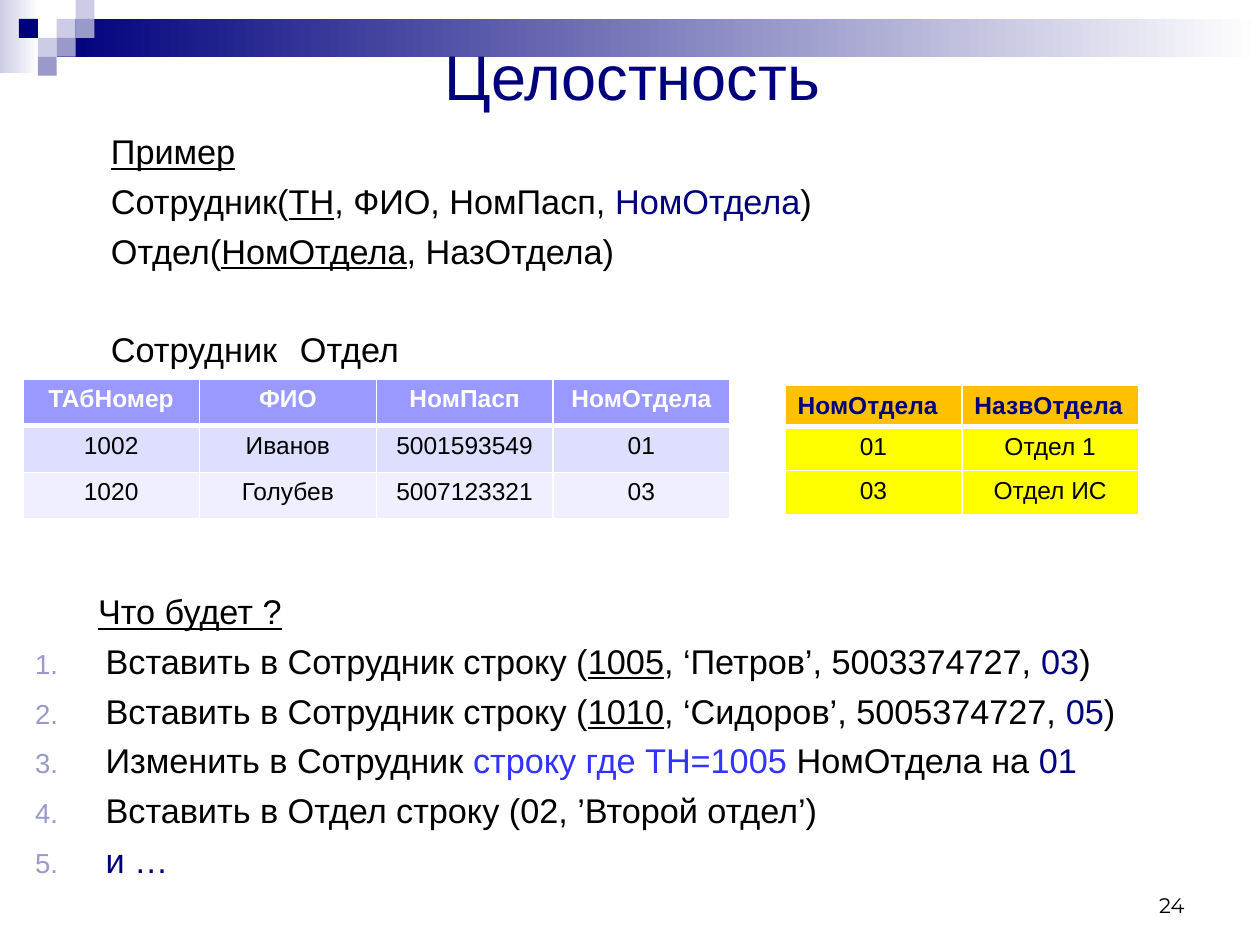
from lxml import etree
from pptx import Presentation
from pptx.dml.color import RGBColor
from pptx.enum.shapes import MSO_SHAPE
from pptx.enum.text import MSO_ANCHOR, MSO_AUTO_SIZE, PP_ALIGN
from pptx.oxml.ns import qn
from pptx.util import Pt

RECT = MSO_SHAPE.RECTANGLE
LEFT, CENTER, RIGHT = PP_ALIGN.LEFT, PP_ALIGN.CENTER, PP_ALIGN.RIGHT
TOP, MIDDLE, BOTTOM = MSO_ANCHOR.TOP, MSO_ANCHOR.MIDDLE, MSO_ANCHOR.BOTTOM

NAVY = RGBColor(0x00, 0x00, 0x7D)
BLUE = RGBColor(0x33, 0x33, 0xFF)
LILAC = RGBColor(0x99, 0x99, 0xCC)
PALE = RGBColor(0xCC, 0xCC, 0xE6)
BLACK = RGBColor(0, 0, 0)
WHITE = RGBColor(0xFF, 0xFF, 0xFF)
VIOLET = RGBColor(0x99, 0x99, 0xFF)
BAND_1 = RGBColor(0xDE, 0xDE, 0xFF)
BAND_2 = RGBColor(0xEF, 0xEF, 0xFF)
ORANGE = RGBColor(0xFF, 0xC0, 0x00)
YELLOW = RGBColor(0xFF, 0xFF, 0x00)

# Content: a paragraph is a list of (text, style) runs
PLAIN, KEY, FOREIGN, NOTE = {}, {"underline": True}, {"color": NAVY}, {"color": BLUE}
TITLE = "Целостность"
NUMBER = "24"
EXAMPLE = [
    [("Пример", KEY)],
    [("Сотрудник(", PLAIN), ("ТН", KEY), (", ФИО, НомПасп, ", PLAIN),
     ("НомОтдела", FOREIGN), (")", PLAIN)],
    [("Отдел(", PLAIN), ("НомОтдела", KEY), (", НазОтдела)", PLAIN)],
]
TABLE_NAMES = [("\tСотрудник\tОтдел", PLAIN)]
QUESTION = [("Что будет ?", KEY)]
TASKS = [
    [("Вставить в Сотрудник строку (", PLAIN), ("1005", KEY),
     (", ‘Петров’, 5003374727, ", PLAIN), ("03", FOREIGN), (")", PLAIN)],
    [("Вставить в Сотрудник строку (", PLAIN), ("1010", KEY),
     (", ‘Сидоров’, 5005374727, ", PLAIN), ("05", FOREIGN), (")", PLAIN)],
    [("Изменить в Сотрудник ", PLAIN), ("строку где ТН=1005 ", NOTE),
     ("НомОтдела на ", PLAIN), ("01", FOREIGN)],
    [("Вставить в Отдел строку (02, ’Второй отдел’)", PLAIN)],
    [("и …", FOREIGN)],
]
TABLES = [
    {"at": (13, 216.7), "heights": (26.6, 26.6, 26.6), "fills": (VIOLET, BAND_1, BAND_2),
     "head": WHITE, "align": CENTER,
     "rows": [("ТАбНомер", "ФИО", "НомПасп", "НомОтдела"),
              ("1002", "Иванов", "5001593549", "01"),
              ("1020", "Голубев", "5007123321", "03")]},
    {"at": (448.6, 220.3), "heights": (23.4, 25.2, 25.2), "fills": (ORANGE, YELLOW, YELLOW),
     "head": NAVY, "align": LEFT,
     "rows": [("НомОтдела", "НазвОтдела"), ("01", "Отдел 1"), ("03", "Отдел ИС")]},
]
COL_WIDTH = 101
UNIT = 10.8  # side of a corner square
SQUARES = [(3, 1, PALE), (4, 0, PALE), (4, 1, LILAC), (2, 2, PALE),
           (1, 1, NAVY), (3, 2, LILAC), (2, 3, LILAC)]  # column, row, colour
GRADIENTS = [((0, 0, 22.3, 41.8), PALE), ((32.4, UNIT, 687.6, 21.6), NAVY)]
TEXT_SIZE, GAP, LINE = 19.6, 4.9, 22.5


def place(sp, box):
    for name, value in zip(("left", "top", "width", "height"), box):
        setattr(sp, name, Pt(value))


def frame(sp, anchor=TOP, top=3.6):
    tf = sp.text_frame
    values = {"word_wrap": True, "auto_size": MSO_AUTO_SIZE.NONE, "vertical_anchor": anchor,
              "margin_left": Pt(7.2), "margin_right": Pt(7.2),
              "margin_top": Pt(top), "margin_bottom": Pt(3.6)}
    for name, value in values.items():
        setattr(tf, name, value)
    return tf


def add_run(p, text, size=TEXT_SIZE, color=BLACK, name="Arial", **style):
    r = p.add_run()
    r.text = text
    for key, value in {"size": Pt(size), "name": name, **style}.items():
        setattr(r.font, key, value)
    r.font.color.rgb = color


def add_paragraph(tf, runs, margin=0, indent=0, before=GAP, numbered=False, tabs=()):
    first = not tf.paragraphs[0].runs
    p = tf.paragraphs[0] if first else tf.add_paragraph()
    pPr = p._p.get_or_add_pPr()
    pPr.set("marL", str(Pt(margin)))
    pPr.set("indent", str(Pt(indent)))
    if numbered:
        clr = etree.SubElement(pPr, qn("a:buClr"))
        etree.SubElement(clr, qn("a:srgbClr"), val=str(LILAC))
        etree.SubElement(pPr, qn("a:buSzPct"), val="80000")
        etree.SubElement(pPr, qn("a:buFont"), typeface="Arial")
        etree.SubElement(pPr, qn("a:buAutoNum"), type="arabicPeriod")
    else:
        etree.SubElement(pPr, qn("a:buNone"))
    if tabs:
        tab_list = etree.SubElement(pPr, qn("a:tabLst"))
        for pos in tabs:
            etree.SubElement(tab_list, qn("a:tab"), pos=str(Pt(pos)), algn="l")
    p.space_before = Pt(0 if first else before)
    p.alignment = LEFT
    for text, style in runs:
        add_run(p, text, **style)


def set_borders(cell, bottom):
    tcPr = cell._tc.get_or_add_tcPr()
    for side, width in (("L", 1), ("R", 1), ("T", 1), ("B", bottom)):
        ln = etree.SubElement(tcPr, qn("a:ln" + side), w=str(Pt(width)))
        fill = etree.SubElement(ln, qn("a:solidFill"))
        etree.SubElement(fill, qn("a:srgbClr"), val=str(WHITE))


def add_table(s, data):
    rows = data["rows"]
    n_cols = len(rows[0])
    table = s.shapes.add_table(len(rows), n_cols, *map(Pt, data["at"]),
                               Pt(COL_WIDTH * n_cols), Pt(sum(data["heights"]))).table
    for col in table.columns:
        col.width = Pt(COL_WIDTH)
    for i, row in enumerate(rows):
        table.rows[i].height = Pt(data["heights"][i])
        for j, text in enumerate(row):
            cell = table.cell(i, j)
            set_borders(cell, 1 if i else 3)
            cell.fill.solid()
            cell.fill.fore_color.rgb = data["fills"][i]
            p = cell.text_frame.paragraphs[0]
            p.alignment = CENTER if i else data["align"]
            add_run(p, text, size=14, color=BLACK if i else data["head"], bold=i == 0)


def add_rect(s, box):
    sp = s.shapes.add_shape(RECT, *map(Pt, box))
    sp.shadow.inherit = False
    sp.line.fill.background()
    return sp


prs = Presentation()
prs.slide_width, prs.slide_height = Pt(720), Pt(540)
s = prs.slides.add_slide(prs.slide_layouts[1])
title, body = s.placeholders[0], s.placeholders[1]

# Header band and corner squares
for box, color in GRADIENTS:
    fill = add_rect(s, box).fill
    fill.gradient()
    fill.gradient_angle = 0
    for stop, rgb, position in zip(fill.gradient_stops, (color, WHITE), (0, 1)):
        stop.color.rgb = rgb
        stop.position = position
for col, row, color in SQUARES:
    fill = add_rect(s, (col * UNIT, row * UNIT, UNIT, UNIT)).fill
    fill.solid()
    fill.fore_color.rgb = color

# Title and example, in front of the band
for sp in (title, body):
    s.shapes.element.append(sp.element)
place(title, (37.4, 21.6, 648, 42.5))
p = frame(title, MIDDLE).paragraphs[0]
p.alignment = CENTER
add_run(p, TITLE, size=36, color=NAVY)

place(body, (20.2, 67.7, 680.4, 149))
tf = frame(body, top=7)
for runs in EXAMPLE:
    add_paragraph(tf, runs, margin=58.3, indent=-22.3)
add_paragraph(tf, TABLE_NAMES, before=2 * GAP + LINE, tabs=(105.8, 472.6))

# Tables
for data in TABLES:
    add_table(s, data)

# Question and numbered tasks
tf = frame(s.shapes.add_textbox(Pt(13), Pt(330.5), Pt(691.2), Pt(184.3)), top=7)
add_paragraph(tf, QUESTION, margin=58.3, indent=-22.3)
for runs in TASKS:
    add_paragraph(tf, runs, margin=40.3, indent=-40.3, numbered=True)

# Slide number
tf = frame(s.shapes.add_textbox(Pt(516.2), Pt(491.8), Pt(167.8), Pt(36)), BOTTOM)
tf.paragraphs[0].alignment = RIGHT
add_run(tf.paragraphs[0], NUMBER, size=12, name="Montserrat")

prs.save("out.pptx")
